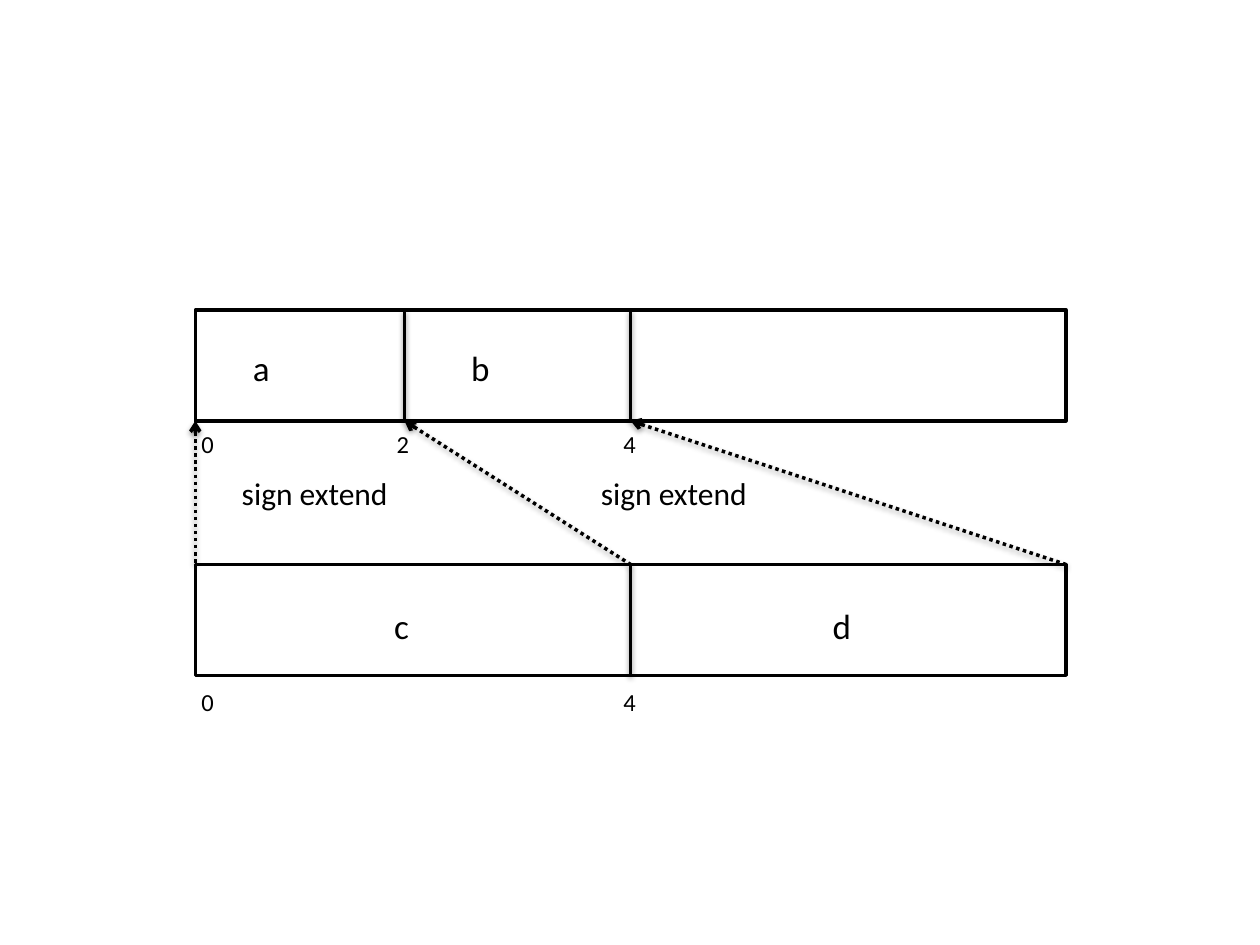
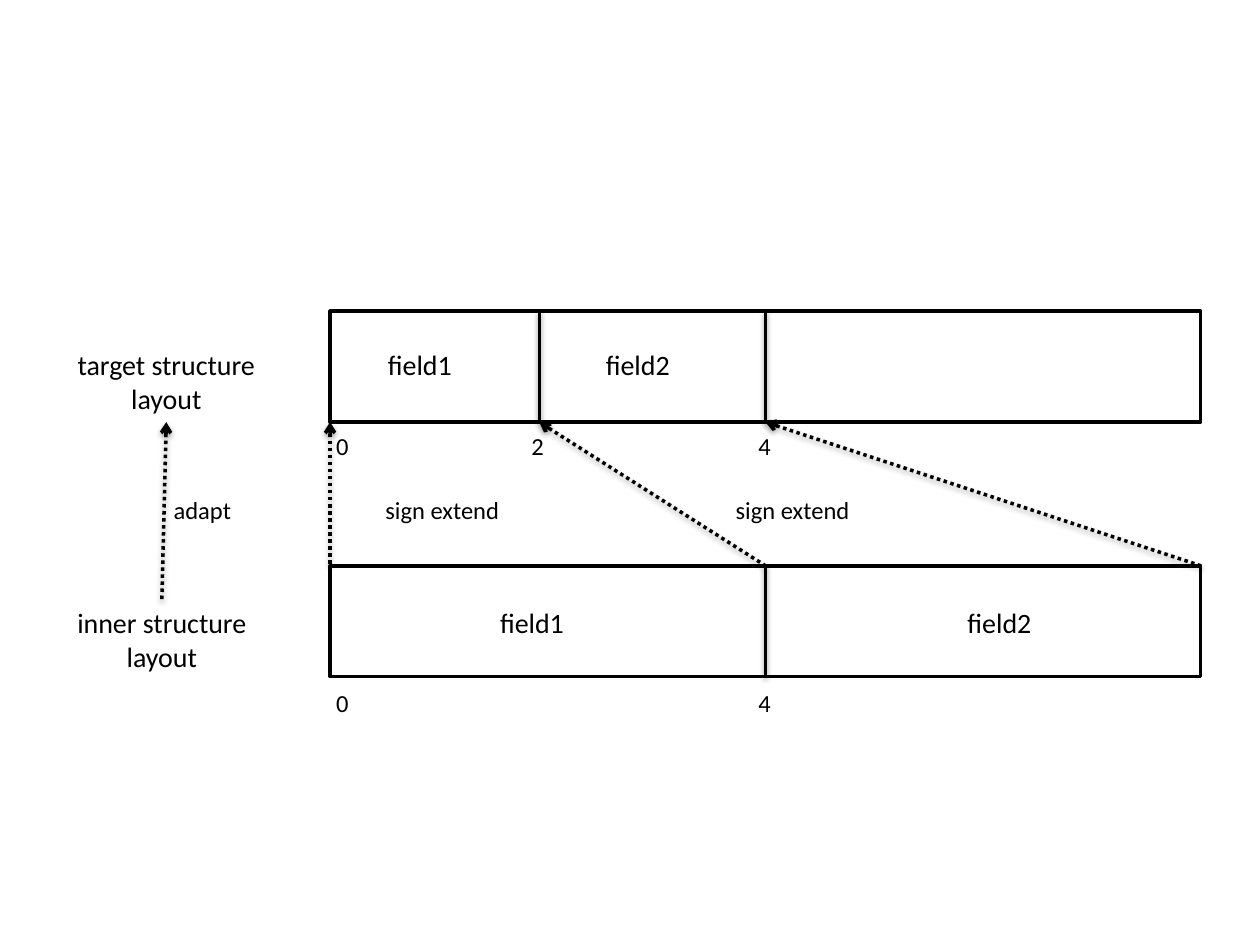
"""Builds two slides that map an inner structure layout onto a target layout."""
from lxml import etree
from pptx import Presentation
from pptx.dml.color import RGBColor
from pptx.enum.dml import MSO_LINE
from pptx.enum.shapes import MSO_CONNECTOR, MSO_SHAPE
from pptx.enum.text import MSO_AUTO_SIZE, PP_ALIGN
from pptx.oxml.ns import qn
from pptx.util import Inches, Pt

STRAIGHT, RECT = MSO_CONNECTOR.STRAIGHT, MSO_SHAPE.RECTANGLE
DOTTED, GROW = MSO_LINE.ROUND_DOT, MSO_AUTO_SIZE.SHAPE_TO_FIT_TEXT
LEFT, CENTER = PP_ALIGN.LEFT, PP_ALIGN.CENTER
TOP, BOTTOM = 0, 2
BLACK, WHITE, FONT = "000000", "FFFFFF", "Calibri"

BAR_W, BAR_H, BAR_PITCH = 6.91, 0.88, 2.02
SPLIT = 1.66
FIELD_X = ((0.36, 2.09), (1.25, 4.96))
FIELD_DY = (0.24, 0.27)
TICKS = ((("0", -0.05), ("2", 1.5), ("4", 3.3)), (("0", -0.05), ("4", 3.3)))
TICK_DY = (0.9, 0.92)
TICK_W = 0.3
HEIGHTS = {14: 0.34, 16: 0.37, 18: 0.4, 20: 0.44}
LINE_STEP = 0.27

DIAGRAMS = [
    {"at": (1.55, 2.46), "field size": 20,
     "fields": ((("a", 0.34), ("b", 0.35)), (("c", 0.32), ("d", 0.35))),
     "field x": (FIELD_X[0], (1.48, 4.96)),
     "extend": {"size": 18, "width": 1.38, "x": (0.27, 3.12), "dy": 1.25}},
    {"at": (2.62, 2.47), "field size": 16,
     "fields": ((("field1", 0.72), ("field2", 0.72)),) * 2,
     "field x": FIELD_X,
     "extend": {"size": 14, "width": 1.12, "x": (0.34, 3.12), "dy": 1.41}},
]
SIDE_X = 0.5
SIDE_LABELS = (("target structure\nlayout", 1.64), ("inner structure\nlayout", 1.57))
ADAPT = ("adapt", 1.28, 3.88, 0.66)


def rgb(color):
    return RGBColor.from_string(color)


def add_text(s, text, x, y, w, size, align=LEFT):
    h = HEIGHTS[size] + LINE_STEP * text.count("\n")
    sp = s.shapes.add_textbox(Inches(x), Inches(y), Inches(w), Inches(h))
    tf = sp.text_frame
    tf.word_wrap, tf.auto_size = False, GROW
    tf.text = text
    for p in tf.paragraphs:
        p.alignment = align
        for r in p.runs:
            r.font.name, r.font.size = FONT, Pt(size)
            r.font.color.rgb = rgb(BLACK)
    return sp


def add_bar(s, x, y):
    sp = s.shapes.add_shape(RECT, Inches(x), Inches(y), Inches(BAR_W), Inches(BAR_H))
    sp.shadow.inherit = False
    sp.fill.solid()
    sp.fill.fore_color.rgb = rgb(WHITE)
    sp.line.color.rgb = rgb(BLACK)
    sp.line.width = Pt(2)
    return sp


def add_line(s, start=(0, 0), end=(0, 0), begin_at=None, end_at=None, arrow=False):
    line = s.shapes.add_connector(STRAIGHT, *map(Inches, start + end))
    if begin_at:
        line.begin_connect(*begin_at)
    if end_at:
        line.end_connect(*end_at)
    line.line.color.rgb = rgb(BLACK)
    line.line.width = Pt(2)
    if arrow:
        line.line.dash_style = DOTTED
        ln = line.line._get_or_add_ln()
        etree.SubElement(ln, qn("a:headEnd")).set("type", "arrow")


def add_diagram(s, diagram):
    x, y = diagram["at"]
    tops = (y, y + BAR_PITCH)
    target, inner = [add_bar(s, x, top) for top in tops]
    for bar in (target, inner):
        add_line(s, begin_at=(bar, TOP), end_at=(bar, BOTTOM))
    bottom = y + BAR_H
    add_line(s, (x + SPLIT, y), (x + SPLIT, bottom))

    for row, top in enumerate(tops):
        for (name, w), dx in zip(diagram["fields"][row], diagram["field x"][row]):
            add_text(s, name, x + dx, top + FIELD_DY[row], w, diagram["field size"])
        for tick, dx in TICKS[row]:
            add_text(s, tick, x + dx, top + TICK_DY[row], TICK_W, 14)

    add_line(s, (x, bottom), (x, tops[1]), arrow=True)
    add_line(s, (x + SPLIT, bottom), end_at=(inner, TOP), arrow=True)
    add_line(s, end=(x + BAR_W, tops[1]), begin_at=(target, BOTTOM), arrow=True)

    extend = diagram["extend"]
    for dx in extend["x"]:
        add_text(s, "sign extend", x + dx, y + extend["dy"], extend["width"], extend["size"])


def add_side_labels(s, y):
    target, inner = [
        add_text(s, text, SIDE_X, y + row * BAR_PITCH + FIELD_DY[row], w, 16, CENTER)
        for row, (text, w) in enumerate(SIDE_LABELS)]
    add_line(s, begin_at=(target, BOTTOM), end_at=(inner, TOP), arrow=True)
    add_text(s, *ADAPT, 14)


def main():
    prs = Presentation()
    prs.slide_width, prs.slide_height = Inches(10), Inches(7.5)
    for diagram in DIAGRAMS:
        s = prs.slides.add_slide(prs.slide_layouts[6])
        add_diagram(s, diagram)
    add_side_labels(s, diagram["at"][1])
    prs.save("out.pptx")


if __name__ == "__main__":
    main()
